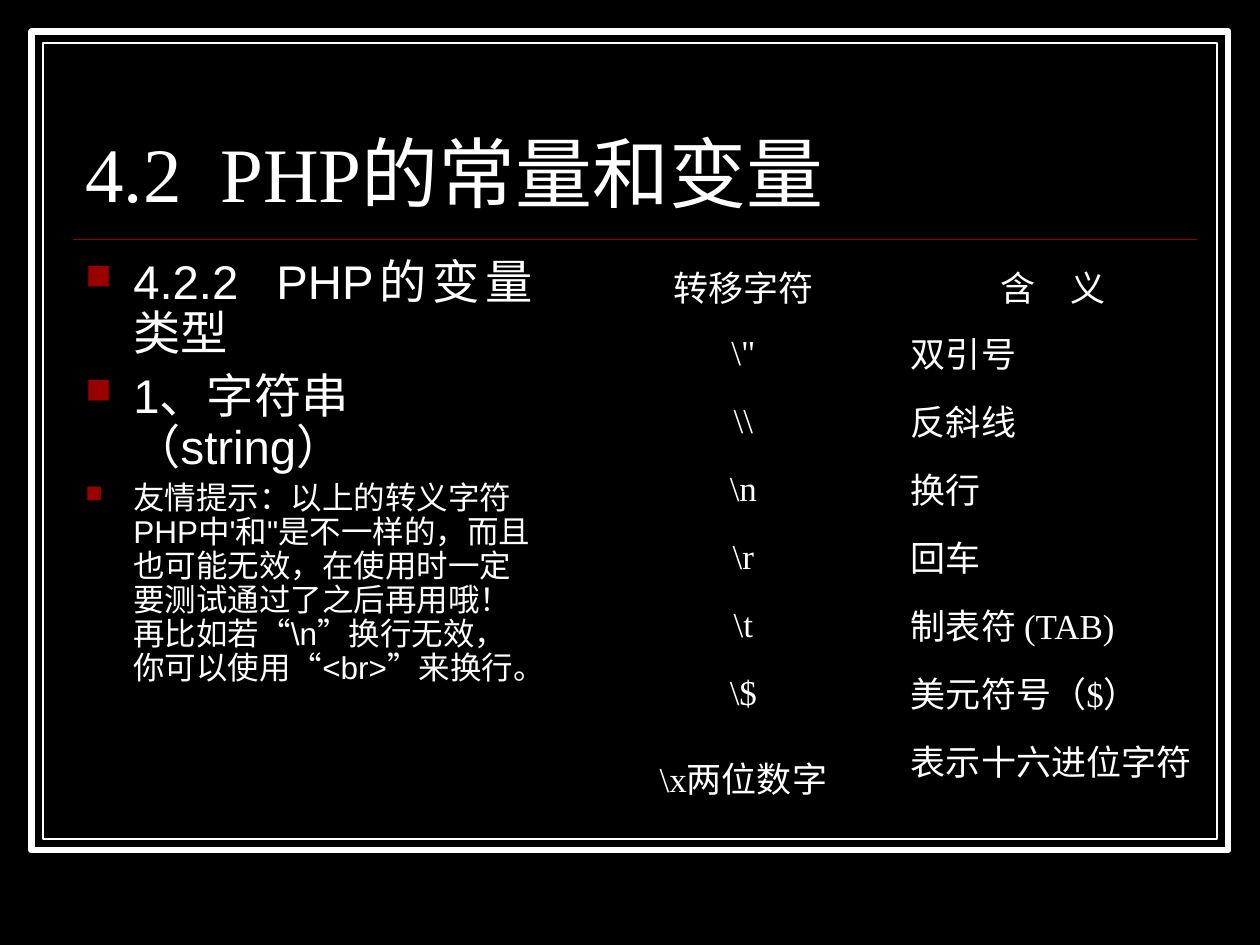
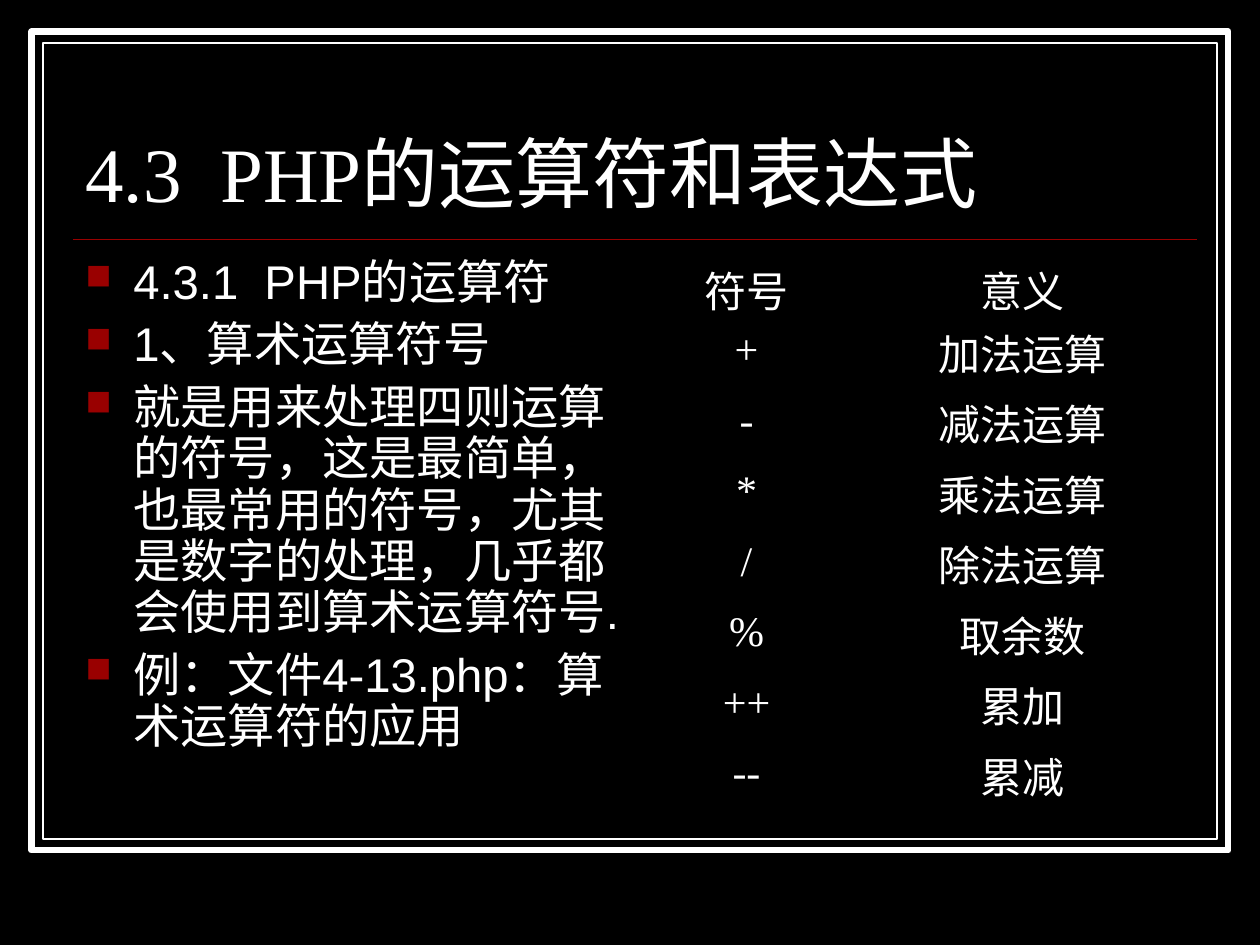
import pptx
import pptx.util
import pptx.dml.color
import pptx.enum.shapes
import pptx.enum.text
import pptx.oxml.ns
import lxml.etree

Inches = pptx.util.Inches
Pt = pptx.util.Pt
ALIGN = pptx.enum.text.PP_ALIGN
ANCHOR = pptx.enum.text.MSO_ANCHOR
qn = pptx.oxml.ns.qn

BLACK, WHITE, RED = "000000", "FFFFFF", "990000"
SERIF, SANS = "Times New Roman", "Arial"
LEFT, RIGHT = 0.58, 9.5

LESSONS = [
    {
        "title": "4.2  PHP的常量和变量",
        "body": (LEFT, 2, 3.75, 4.17),
        "points": [
            ("4.2.2  PHP的变量类型", 27, ALIGN.JUSTIFY),
            ("1、字符串（string）", 27, ALIGN.LEFT),
            ("友情提示：以上的转义字符PHP中'和\"是不一样的，而且也可能无效，"
             "在使用时一定要测试通过了之后再用哦！再比如若“\\n”换行无效，"
             "你可以使用“<br>”来换行。", 18, ALIGN.LEFT),
        ],
        "grid": (4.67, 2),
        "cols": [2.46, 2.46],
        "rows": [0.54] * 7 + [0.78],
        "size": 20,
        "left": True,
        "cells": [
            ("转移字符", "含　义"),
            ("\\\"", "双引号"),
            ("\\\\", "反斜线"),
            ("\\n", "换行"),
            ("\\r", "回车"),
            ("\\t", "制表符 (TAB)"),
            ("\\$", "美元符号（$）"),
            ("\\x两位数字", "表示十六进位字符"),
        ],
    },
    {
        "title": "4.3  PHP的运算符和表达式",
        "body": (LEFT, 2, 4.37, 4.42),
        "points": [
            ("4.3.1  PHP的运算符", 27, ALIGN.LEFT),
            ("1、算术运算符号", 27, ALIGN.LEFT),
            ("就是用来处理四则运算的符号，这是最简单，也最常用的符号，"
             "尤其是数字的处理，几乎都会使用到算术运算符号.", 27, ALIGN.LEFT),
            ("例：文件4-13.php：算术运算符的应用", 27, ALIGN.LEFT),
        ],
        "grid": (5.13, 2),
        "cols": [1.59, 2.79],
        "rows": [0.5] + [0.56] * 7,
        "size": 24,
        "left": False,
        "cells": [
            ("符号", "意义"),
            ("+", "加法运算"),
            ("-", "减法运算"),
            ("*", "乘法运算"),
            ("/", "除法运算"),
            ("%", "取余数"),
            ("++", "累加"),
            ("--", "累减"),
        ],
    },
]


def color(code):
    """Turn a hex string into a colour."""
    return pptx.dml.color.RGBColor.from_string(code)


def style(para, size, face):
    """Format every run of a paragraph in white."""
    for run in para.runs:
        run.font.size = Pt(size)
        run.font.name = face
        run.font.color.rgb = color(WHITE)


def add_box(slide, box):
    """Add a wrapping text box and return its frame."""
    frame = slide.shapes.add_textbox(*map(Inches, box)).text_frame
    frame.word_wrap = True
    return frame


def add_frame(slide, box):
    """Draw the double border and the rule under the title."""
    left, top, width, height = box
    for inset, weight in ((0, 3.5), (0.09, 0.75)):
        rect = slide.shapes.add_shape(
            pptx.enum.shapes.MSO_SHAPE.RECTANGLE,
            Inches(left + inset), Inches(top + inset),
            Inches(width - 2 * inset), Inches(height - 2 * inset))
        rect.shadow.inherit = False
        rect.fill.solid()
        rect.fill.fore_color.rgb = color(BLACK)
        rect.line.color.rgb = color(WHITE)
        rect.line.width = Pt(weight)
    level = Inches(top + 1.65)
    rule = slide.shapes.add_connector(
        pptx.enum.shapes.MSO_CONNECTOR.STRAIGHT,
        Inches(LEFT), level, Inches(RIGHT), level)
    rule.line.color.rgb = color(RED)
    rule.line.width = Pt(1)
    lxml.etree.SubElement(rule._element.spPr, qn("a:effectLst"))


def add_title(slide, box, text):
    """Set the slide title on the bottom of its box."""
    frame = add_box(slide, box)
    frame.vertical_anchor = ANCHOR.BOTTOM
    para = frame.paragraphs[0]
    para.text = text
    para.line_spacing = 0.8
    style(para, 44, SERIF)


def add_bullet(para):
    """Give a paragraph a hanging red square."""
    props = para._p.get_or_add_pPr()
    props.set("marL", str(Inches(0.38)))
    props.set("indent", str(-Inches(0.38)))
    paint = lxml.etree.SubElement(props, qn("a:buClr"))
    lxml.etree.SubElement(paint, qn("a:srgbClr"), val=RED)
    lxml.etree.SubElement(props, qn("a:buSzPct"), val="75000")
    lxml.etree.SubElement(props, qn("a:buChar"), char="■")


def add_points(slide, box, points):
    """Fill a box with bulleted points."""
    frame = add_box(slide, box)
    for index, (text, size, align) in enumerate(points):
        para = frame.add_paragraph() if index else frame.paragraphs[0]
        para.text = text
        para.alignment = align
        para.line_spacing = 0.9
        para.space_before = Pt(size / 4)
        add_bullet(para)
        style(para, size, SANS)


def add_edges(cell):
    """Draw thin black borders round a cell."""
    props = cell._tc.get_or_add_tcPr()
    for index, side in enumerate(("lnL", "lnR", "lnT", "lnB")):
        edge = lxml.etree.Element(qn("a:" + side), w=str(Pt(0.45)))
        fill = lxml.etree.SubElement(edge, qn("a:solidFill"))
        lxml.etree.SubElement(fill, qn("a:srgbClr"), val=BLACK)
        props.insert(index, edge)


def add_grid(slide, spot, lesson):
    """Place the table of symbols and meanings."""
    cols, rows = lesson["cols"], lesson["rows"]
    box = (*spot, sum(cols), sum(rows))
    table = slide.shapes.add_table(
        len(rows), len(cols), *map(Inches, box)).table
    table.first_row = False
    table.horz_banding = False
    for col, width in zip(table.columns, cols):
        col.width = Inches(width)
    for row, height in zip(table.rows, rows):
        row.height = Inches(height)
    for r, texts in enumerate(lesson["cells"]):
        for c, text in enumerate(texts):
            cell = table.cell(r, c)
            plain = lesson["left"] and r and c
            cell.fill.background()
            cell.vertical_anchor = ANCHOR.TOP if plain else ANCHOR.MIDDLE
            para = cell.text_frame.paragraphs[0]
            para.text = text
            para.alignment = ALIGN.LEFT if plain else ALIGN.CENTER
            style(para, lesson["size"], SERIF)
            add_edges(cell)


def add_lesson(deck, lesson):
    """Build one slide with points beside a table."""
    slide = deck.slides.add_slide(deck.slide_layouts[6])
    slide.background.fill.solid()
    slide.background.fill.fore_color.rgb = color(BLACK)
    add_frame(slide, (0.25, 0.25, 9.5, 6.5))
    add_title(slide, (LEFT, 0.52, RIGHT - LEFT, 1.25), lesson["title"])
    add_points(slide, lesson["body"], lesson["points"])
    add_grid(slide, lesson["grid"], lesson)


def main():
    """Build and save the deck."""
    deck = pptx.Presentation()
    deck.slide_width = Inches(10)
    deck.slide_height = Inches(7.5)
    for lesson in LESSONS:
        add_lesson(deck, lesson)
    deck.save("out.pptx")


if __name__ == "__main__":
    main()
